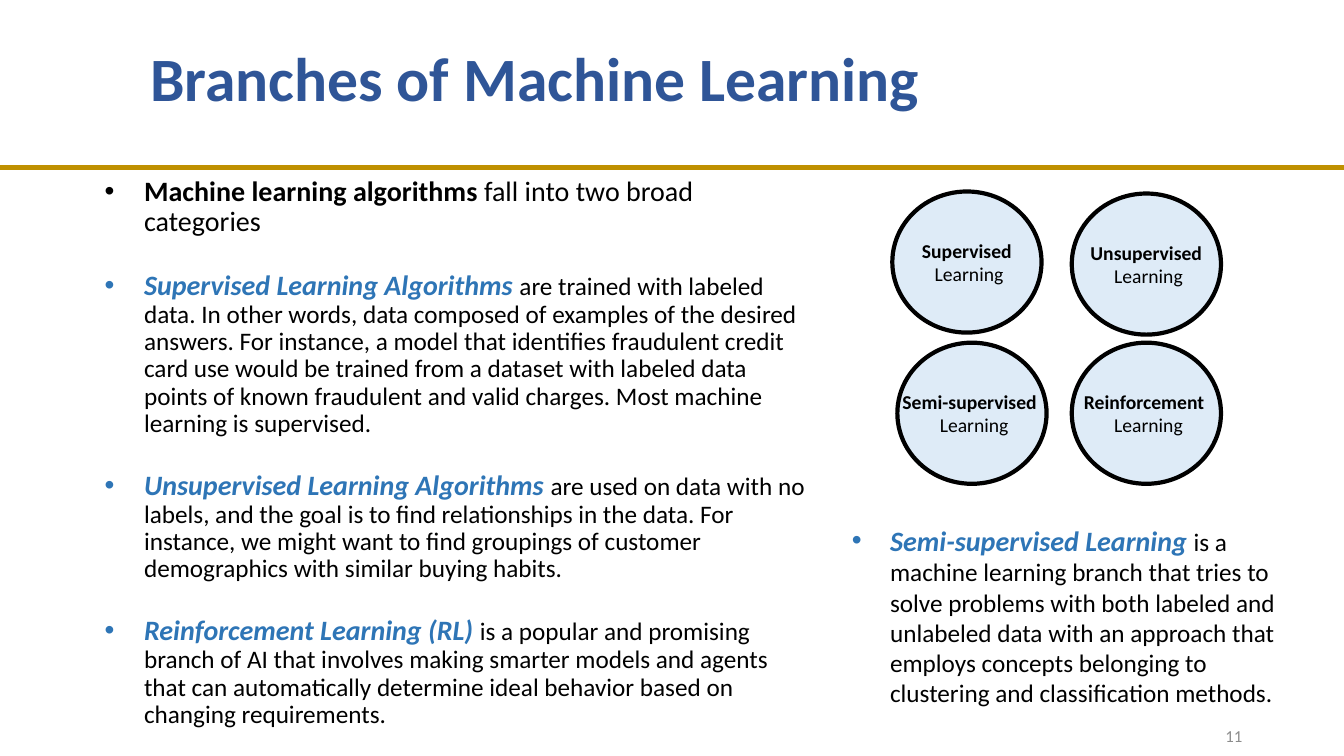
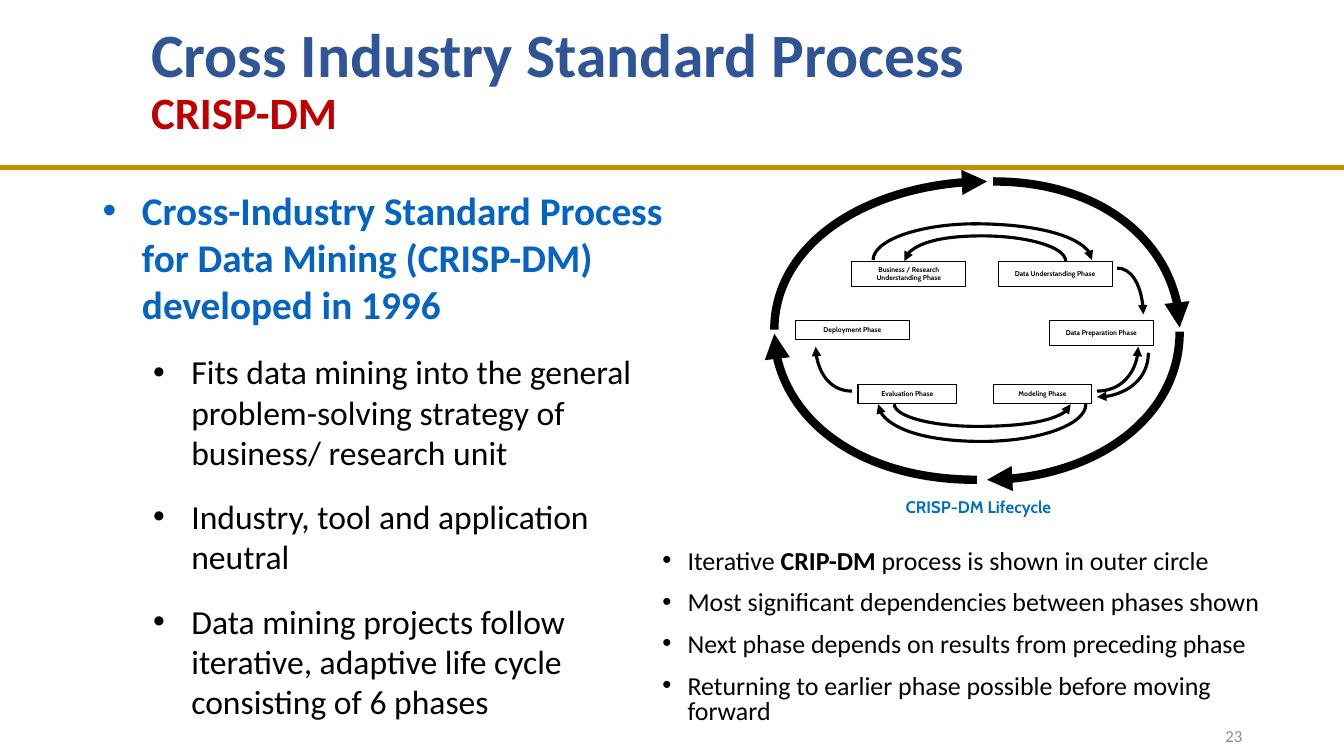
"""Build two slides on machine learning branches and the CRISP-DM process."""
from dataclasses import dataclass

from lxml.etree import SubElement
from pptx import Presentation
from pptx.dml.color import RGBColor
from pptx.enum.shapes import MSO_CONNECTOR, MSO_SHAPE
from pptx.enum.text import MSO_ANCHOR, MSO_AUTO_SIZE, PP_ALIGN
from pptx.oxml.ns import qn
from pptx.util import Inches, Pt


@dataclass(frozen=True)
class Theme:
    black: RGBColor = RGBColor.from_string("000000")
    title: RGBColor = RGBColor.from_string("2F5597")
    subtitle: RGBColor = RGBColor.from_string("C00000")
    rule: RGBColor = RGBColor.from_string("BF9000")
    term: RGBColor = RGBColor.from_string("2E75B6")
    lead: RGBColor = RGBColor.from_string("0563C1")
    caption: RGBColor = RGBColor.from_string("0070C0")
    number: RGBColor = RGBColor.from_string("8C8C8C")
    circle: RGBColor = RGBColor.from_string("DEEBF7")
    text_font: str = "Calibri"
    diagram_font: str = "Cabin"
    title_size: float = 44
    subtitle_size: float = 32
    lead_size: float = 28
    point_size: float = 24
    term_size: float = 20
    note_size: float = 18.5
    body_size: float = 18
    label_size: float = 14
    small_size: float = 12
    phase_size: float = 5


THEME = Theme()


def style(size, color=THEME.black, name=THEME.text_font, **extra):
    """Return the format values of a run."""
    return {"size": Pt(size), "color": color, "name": name, "bold": False, **extra}


def write(shape, paragraphs, **frame_format):
    """Fill a shape with (runs, layout) paragraphs."""
    frame = shape.text_frame
    defaults = {"word_wrap": True, "auto_size": MSO_AUTO_SIZE.NONE}
    for key, value in {**defaults, **frame_format}.items():
        setattr(frame, key, value)
    for index, (runs, layout) in enumerate(paragraphs):
        paragraph = frame.add_paragraph() if index else frame.paragraphs[0]
        for key, value in layout.items():
            if key != "indent":
                setattr(paragraph, key, value)
        if "indent" in layout:
            margin, hanging = layout["indent"]
            properties = paragraph._p.get_or_add_pPr()
            properties.set("marL", str(Inches(margin)))
            properties.set("indent", str(-Inches(hanging)))
            SubElement(properties, qn("a:buFont")).set("typeface", "Arial")
            SubElement(properties, qn("a:buChar")).set("char", "•")
        for text, run_format in runs:
            if text == "\n":
                paragraph.add_line_break()
                continue
            run = paragraph.add_run()
            run.text = text
            for key, value in run_format.items():
                if key == "color":
                    run.font.color.rgb = value
                else:
                    setattr(run.font, key, value)


presentation = Presentation()
presentation.slide_width, presentation.slide_height = Inches(13.33), Inches(7.5)

title_style = style(THEME.title_size, THEME.title, bold=True)
subtitle_style = style(THEME.subtitle_size, THEME.subtitle, bold=True)
number_style = style(THEME.small_size, THEME.number)
term_style = style(THEME.term_size, THEME.term, bold=True, italic=True)
body_style = style(THEME.body_size)
label_style = style(THEME.label_size)
point_style = style(THEME.point_size)
note_style = style(THEME.note_size)
phase_style = style(THEME.phase_size, name=THEME.diagram_font, bold=True)
caption_style = style(THEME.small_size, THEME.caption, THEME.diagram_font, bold=True)
centered = {"alignment": PP_ALIGN.CENTER}

headers = [
    ((1.39, 0.01, 9.74, 1.59), [("Branches of Machine Learning", title_style)], "11"),
    ((1.4, 0, 10.82, 1.62), [("Cross Industry Standard Process", title_style), ("\n", {}),
                             ("CRISP-DM", subtitle_style)], "23"),
]
for title_box, title_runs, number in headers:
    slide = presentation.slides.add_slide(presentation.slide_layouts[6])
    rule = slide.shapes.add_connector(
        MSO_CONNECTOR.STRAIGHT, 0, Inches(1.66), presentation.slide_width, Inches(1.66))
    rule.line.color.rgb, rule.line.width = THEME.rule, Pt(3.25)
    SubElement(rule._element.spPr, qn("a:effectLst"))
    write(slide.shapes.add_textbox(*map(Inches, title_box)),
          [(title_runs, {"line_spacing": 0.9})], vertical_anchor=MSO_ANCHOR.MIDDLE)
    write(slide.shapes.add_textbox(*map(Inches, (9.42, 7.1, 3, 0.4))),
          [([(number, number_style)], {"alignment": PP_ALIGN.RIGHT})],
          vertical_anchor=MSO_ANCHOR.MIDDLE)
branches_slide, process_slide = presentation.slides

branch_layout = {"line_spacing": 0.9, "space_before": Pt(12), "space_after": Pt(12),
                 "indent": (0.39, 0.39)}
branch_runs = [
    [("Machine learning algorithms ", style(THEME.term_size, bold=True)),
     ("fall into two broad categories", style(THEME.term_size))],
    [("Supervised Learning Algorithms ", term_style),
     ("are trained with labeled data. In other words, data composed of examples of the "
      "desired answers. For instance, a model that identifies fraudulent credit card use "
      "would be trained from a dataset with labeled data points of known fraudulent and "
      "valid charges. Most machine learning is supervised.", body_style)],
    [("Unsupervised Learning Algorithms ", term_style),
     ("are used on data with no labels, and the goal is to find relationships in the data. "
      "For instance, we might want to find groupings of customer demographics with similar "
      "buying habits.", body_style)],
    [("Reinforcement Learning (RL) ", term_style),
     ("is a popular and promising branch of AI that involves making smarter models and "
      "agents that can automatically determine ideal behavior based on changing "
      "requirements.", body_style)],
]
write(branches_slide.shapes.add_textbox(*map(Inches, (0.94, 1.71, 7.25, 5.79))),
      [(runs, branch_layout) for runs in branch_runs])

circles = [
    ("Supervised", 8.85, 1.9), ("Unsupervised", 10.63, 1.92),
    ("Semi-supervised ", 8.9, 3.4), ("Reinforcement ", 10.63, 3.4),
]
for name, left, top in circles:
    circle = branches_slide.shapes.add_shape(
        MSO_SHAPE.OVAL, *map(Inches, (left, top, 1.48, 1.4)))
    circle.shadow.inherit = False
    circle.fill.solid()
    circle.fill.fore_color.rgb = THEME.circle
    circle.line.color.rgb, circle.line.width = THEME.black, Pt(3)
    write(circle, [([(name, {**label_style, "bold": True})], centered),
                   ([(" Learning", label_style)], centered)],
          word_wrap=False, vertical_anchor=MSO_ANCHOR.MIDDLE)

semi_supervised = [
    ("Semi-supervised Learning ", term_style),
    ("is a machine learning branch that tries to solve problems with both labeled and "
     "unlabeled data with an approach that employs concepts belonging to clustering and "
     "classification methods.", body_style),
]
write(branches_slide.shapes.add_textbox(*map(Inches, (8.35, 5.14, 4.56, 1.95))),
      [(semi_supervised, {"indent": (0.38, 0.38)})])

point_layout = {"level": 1, "space_before": Pt(5), "space_after": Pt(12),
                "indent": (0.88, 0.38)}
points = [
    "Fits data mining into the general problem-solving strategy of business/ research unit",
    "Industry, tool and application neutral",
    "Data mining projects follow iterative, adaptive life cycle consisting of 6 phases",
]
lead = ("Cross-Industry Standard Process for Data Mining (CRISP-DM) developed in 1996",
        style(THEME.lead_size, THEME.lead, bold=True))
lead_layout = {"space_before": Pt(10), "space_after": Pt(12), "indent": (0.39, 0.39)}
write(process_slide.shapes.add_textbox(*map(Inches, (0.92, 1.8, 5.87, 5.7))),
      [([lead], lead_layout)] + [([(point, point_style)], point_layout) for point in points])

phases = [
    ("Business / Research Understanding Phase", 8.45, 2.59, 1.13, 0.25),
    ("Data Understanding Phase", 9.9, 2.59, 1.13, 0.25),
    ("Deployment Phase", 7.89, 3.18, 1.13, 0.19),
    ("Data Preparation Phase", 10.41, 3.18, 1.03, 0.25),
    ("Evaluation Phase", 8.51, 3.81, 0.98, 0.19),
    ("Modeling Phase", 9.85, 3.81, 0.98, 0.19),
]
for name, *box in phases:
    phase = process_slide.shapes.add_shape(MSO_SHAPE.RECTANGLE, *map(Inches, box))
    phase.shadow.inherit = False
    phase.fill.background()
    phase.line.color.rgb, phase.line.width = THEME.black, Pt(0.75)
    write(phase, [([(name, phase_style)], centered)], vertical_anchor=MSO_ANCHOR.MIDDLE)

inner_width, outer_width = 2.25, 6
arcs = [
    ((11.08, 2.66), (11.34, 3.12), "side", inner_width),
    ((9.64, 2.22), (10.83, 2.58), "side", inner_width),
    ((9.69, 2.22), (8.66, 2.58), None, inner_width),
    ((10.88, 3.94), (11.39, 3.5), "apex", inner_width),
    ((9.74, 4.38), (10.77, 4.01), None, inner_width),
    ((9.74, 4.38), (8.71, 4.01), "side", inner_width),
    ((8.45, 3.88), (8.09, 3.44), "side", inner_width),
    ((9.74, 2.34), (8.97, 2.59), "side", inner_width),
    ((9.74, 2.34), (10.57, 2.59), None, inner_width),
    ((10.88, 3.88), (11.29, 3.44), "side", inner_width),
    ((9.69, 4.23), (10.62, 4.01), "side", inner_width),
    ((9.69, 4.23), (8.87, 4.01), None, inner_width),
    ((9.79, 1.8), (7.68, 3.27), "apex", outer_width),
    ((9.85, 1.8), (11.7, 3.25), "side", outer_width),
    ((9.79, 4.76), (11.7, 3.29), "apex", outer_width),
    ((9.69, 4.76), (7.68, 3.31), "side", outer_width),
]
arrow_ends = {"apex": "a:headEnd", "side": "a:tailEnd"}
bend = 0.55
for (apex_x, apex_y), (side_x, side_y), arrow, width in arcs:
    builder = process_slide.shapes.build_freeform(Inches(apex_x), Inches(apex_y))
    builder.add_line_segments([(Inches(side_x), Inches(side_y))], close=False)
    arc = builder.convert_to_shape()
    segment = next(arc._element.iter(qn("a:lnTo")))
    segment.tag = qn("a:cubicBezTo")
    controls = [(apex_x + bend * (side_x - apex_x), apex_y),
                (side_x, side_y + bend * (apex_y - side_y))]
    for index, (x, y) in enumerate(controls):
        point = segment.makeelement(qn("a:pt"), {
            "x": str(Inches(x) - arc.left), "y": str(Inches(y) - arc.top)})
        segment.insert(index, point)
    arc.shadow.inherit = False
    arc.fill.background()
    arc.line.color.rgb, arc.line.width = THEME.black, Pt(width)
    if arrow:
        SubElement(arc.line._get_or_add_ln(), qn(arrow_ends[arrow])).set("type", "triangle")

write(process_slide.shapes.add_textbox(*map(Inches, (8.46, 4.88, 2.49, 0.3))),
      [([("CRISP-DM Lifecycle", caption_style)], centered)])

note_layout = {"level": 1, "line_spacing": 0.8, "space_before": Pt(12),
               "indent": (0.39, 0.25)}
note_runs = [
    [("Iterative ", note_style), ("CRIP-DM", {**note_style, "bold": True}),
     (" process is shown in outer circle", note_style)],
    [("Most significant dependencies between phases shown", note_style)],
    [("Next phase depends on results from preceding phase", note_style)],
    [("Returning to earlier phase possible before moving forward", note_style)],
]
write(process_slide.shapes.add_textbox(*map(Inches, (6.43, 5.41, 6.4, 2))),
      [(runs, note_layout) for runs in note_runs], margin_left=0, margin_right=0)

presentation.save("out.pptx")
